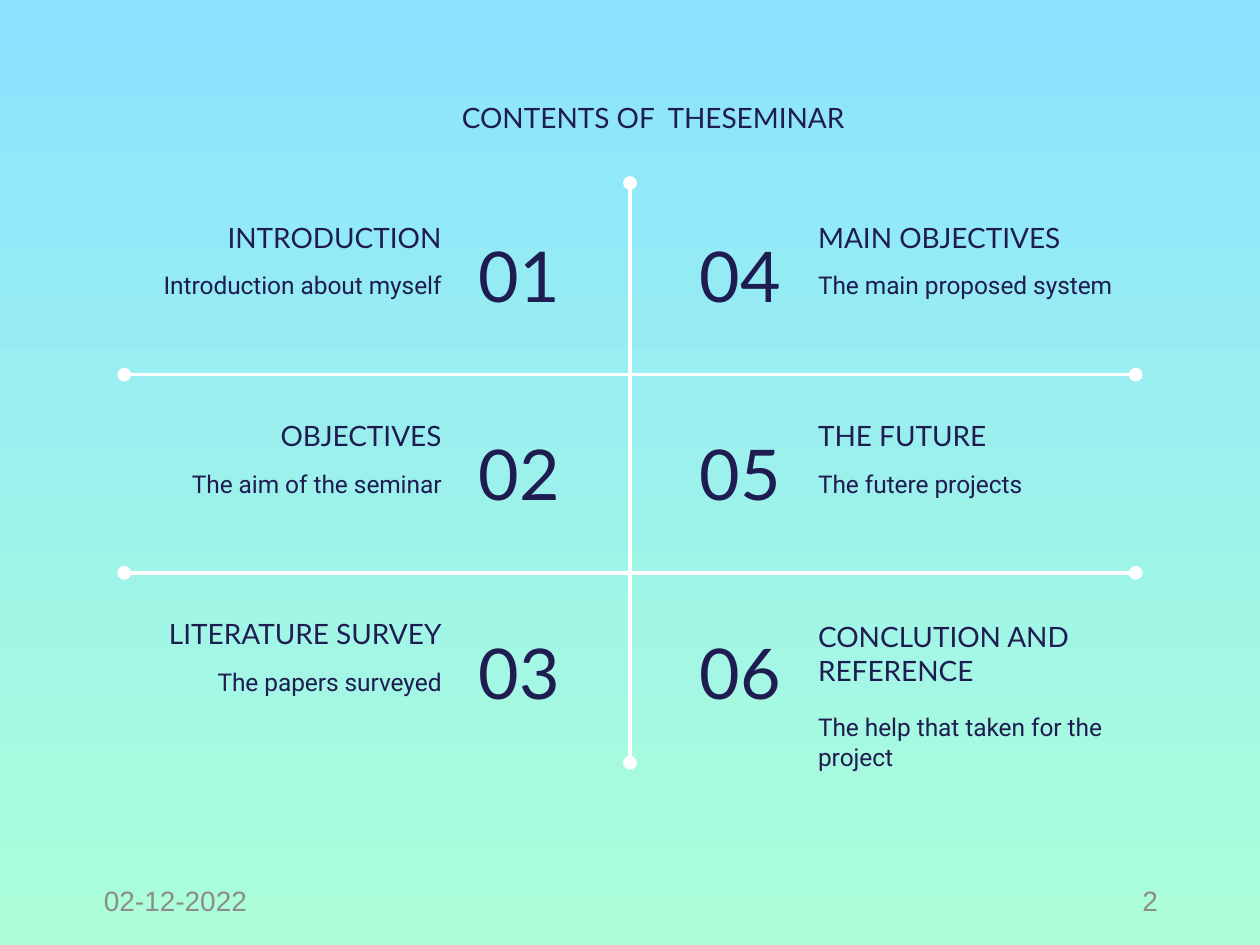
import dataclasses

import pptx
import pptx.dml.color
import pptx.enum.shapes
import pptx.enum.text
import pptx.oxml
import pptx.oxml.ns
import pptx.util

Inches = pptx.util.Inches
ALIGN = pptx.enum.text.PP_ALIGN
ANCHOR = pptx.enum.text.MSO_ANCHOR


@dataclasses.dataclass(frozen=True)
class Theme:
    """Colours, fonts and type sizes of the slide."""
    top: str = "8BE3FF"
    bottom: str = "ACFFD9"
    ink: str = "1F1C51"
    rule: str = "FFFFFF"
    muted: str = "8C8C8C"
    heading_font: str = "Lato"
    body_font: str = "Roboto"
    footer_font: str = "Arial"
    number_size: float = 30
    heading_size: float = 12
    body_size: float = 10.5
    rule_width: float = 1.5


THEME = Theme()
HEADING = dict(font=THEME.heading_font, size=THEME.heading_size, anchor=ANCHOR.BOTTOM)
NUMBER = dict(font=THEME.heading_font, size=THEME.number_size, anchor=ANCHOR.MIDDLE)
CAPTION = dict(font=THEME.body_font, size=THEME.body_size)
FOOTER = dict(font=THEME.footer_font, size=THEME.heading_size, color=THEME.muted,
              anchor=ANCHOR.MIDDLE, inset=0.1)

LEFT_ITEMS = [
    ("01", "INTRODUCTION", "Introduction about myself"),
    ("02", "OBJECTIVES", "The aim of the seminar"),
    ("03", "LITERATURE SURVEY", "The papers surveyed"),
]
RIGHT_ITEMS = [
    ("04", "MAIN OBJECTIVES", "The main proposed system"),
    ("05", "THE FUTURE", "The futere projects"),
    ("06", "CONCLUTION AND REFERENCE", "The help that taken for the project"),
]


def rgb(value):
    """Return a colour object for a hex string."""
    return pptx.dml.color.RGBColor.from_string(value)


def add_text(slide, text, box, font, size, color=THEME.ink, align=ALIGN.LEFT,
             anchor=ANCHOR.TOP, inset=0.08, sp=None):
    """Write text in a new text box, or in the given placeholder."""
    left, top, width, height = (Inches(v) for v in box)
    if sp is None:
        sp = slide.shapes.add_textbox(left, top, width, height)
    else:
        sp.left, sp.top, sp.width, sp.height = left, top, width, height
    tf = sp.text_frame
    tf.word_wrap = True
    tf.auto_size = pptx.enum.text.MSO_AUTO_SIZE.NONE
    tf.vertical_anchor = anchor
    tf.margin_left = tf.margin_right = Inches(inset)
    tf.margin_top = tf.margin_bottom = Inches(min(inset, 0.08))
    p = tf.paragraphs[0]
    p.alignment = align
    r = p.add_run()
    r.text = text
    r.font.name = font
    r.font.size = pptx.util.Pt(size)
    r.font.color.rgb = rgb(color)


def add_rule(slide, x1, y1, x2, y2):
    """Draw a straight rule with a dot at each end."""
    line = slide.shapes.add_connector(
        pptx.enum.shapes.MSO_CONNECTOR.STRAIGHT,
        Inches(x1), Inches(y1), Inches(x2), Inches(y2))
    line.line.color.rgb = rgb(THEME.rule)
    line.line.width = pptx.util.Pt(THEME.rule_width)
    ns = pptx.oxml.ns.nsdecls("a")
    ln = line.line._get_or_add_ln()
    for end in ("headEnd", "tailEnd"):
        ln.append(pptx.oxml.parse_xml(f'<a:{end} {ns} type="oval"/>'))
    line._element.spPr.append(pptx.oxml.parse_xml(f"<a:effectLst {ns}/>"))


def add_item(slide, box, item, mirrored, heading_drop=0, caption_drop=0):
    """Place a number beside the centre rule, with its heading and caption outside."""
    left, top, width, height = box
    number, heading, caption = item
    number_width, text_width, caption_height = 0.98, 2.24, 0.52
    if mirrored:
        number_left, text_left = left + width - number_width, left
        number_align, text_align = ALIGN.LEFT, ALIGN.RIGHT
    else:
        number_left, text_left = left, left + width - text_width
        number_align, text_align = ALIGN.RIGHT, ALIGN.LEFT
    add_text(slide, number, (number_left, top + 0.1, number_width, 0.65),
             align=number_align, **NUMBER)
    add_text(slide, heading, (text_left, top + heading_drop, text_width, 0.38),
             align=text_align, **HEADING)
    caption_top = top + height - caption_height + caption_drop
    add_text(slide, caption, (text_left, caption_top, text_width, caption_height),
             align=text_align, **CAPTION)


def add_grid(slide, box):
    """Draw the dotted rules and fill the two columns of items."""
    left, top, width, height = box
    pitch, item_width, item_height = 1.18, 3.28, 0.84
    centre = left + width / 2
    add_rule(slide, centre, top, centre, top + height)
    for row in range(2):
        y = top + 1.14 + row * pitch
        add_rule(slide, left, y, left + width, y)
    for row, (left_item, right_item) in enumerate(zip(LEFT_ITEMS, RIGHT_ITEMS)):
        y = top + 0.12 + row * pitch
        drops = (0.22, 0.27) if row == 2 else (0, 0)
        add_item(slide, (centre - item_width, y, item_width, item_height), left_item, True)
        add_item(slide, (centre, y, item_width, item_height), right_item, False, *drops)


def add_footer(slide, box):
    """Put the date at the left and the page number at the right."""
    left, top, width, height = box
    part = 1.69
    add_text(slide, "02-12-2022", (left, top, part, height), **FOOTER)
    add_text(slide, "2", (left + width - part, top, part, height),
             align=ALIGN.RIGHT, **FOOTER)


def add_contents_slide(prs):
    """Build the contents slide on its gradient background."""
    slide = prs.slides.add_slide(prs.slide_layouts[5])
    fill = slide.background.fill
    fill.gradient()
    fill.gradient_angle = 270
    for stop, color, position in zip(fill.gradient_stops, (THEME.top, THEME.bottom), (0, 1)):
        stop.color.rgb = rgb(color)
        stop.position = position
    add_text(slide, "CONTENTS OF  THESEMINAR", (1.79, 0.5, 3.32, 0.38),
             align=ALIGN.RIGHT, sp=slide.shapes.title, **HEADING)
    add_grid(slide, (0.74, 1.09, 6.02, 3.45))
    add_footer(slide, (0.52, 5.21, 6.47, 0.3))


def main():
    """Create and save the presentation."""
    prs = pptx.Presentation()
    prs.slide_width = Inches(7.5)
    prs.slide_height = Inches(7.5 * 3 / 4)
    add_contents_slide(prs)
    prs.save("out.pptx")


if __name__ == "__main__":
    main()
